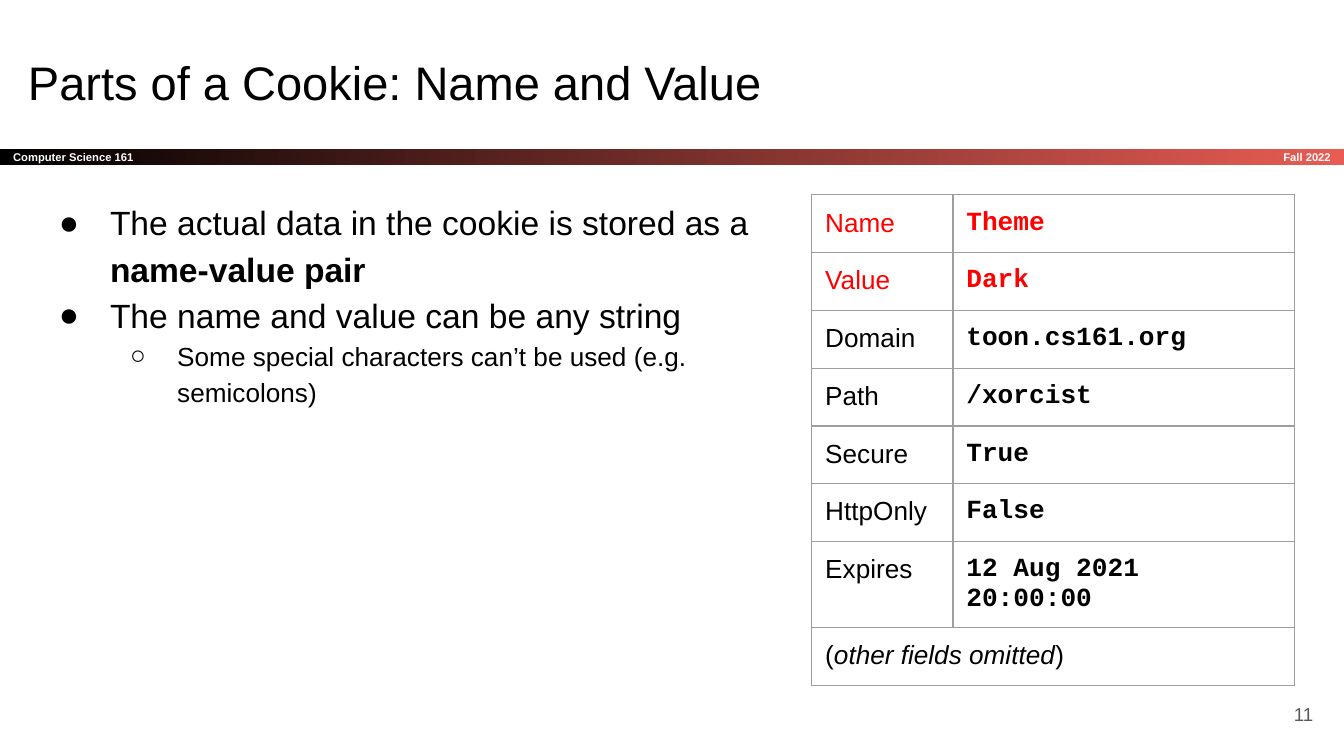
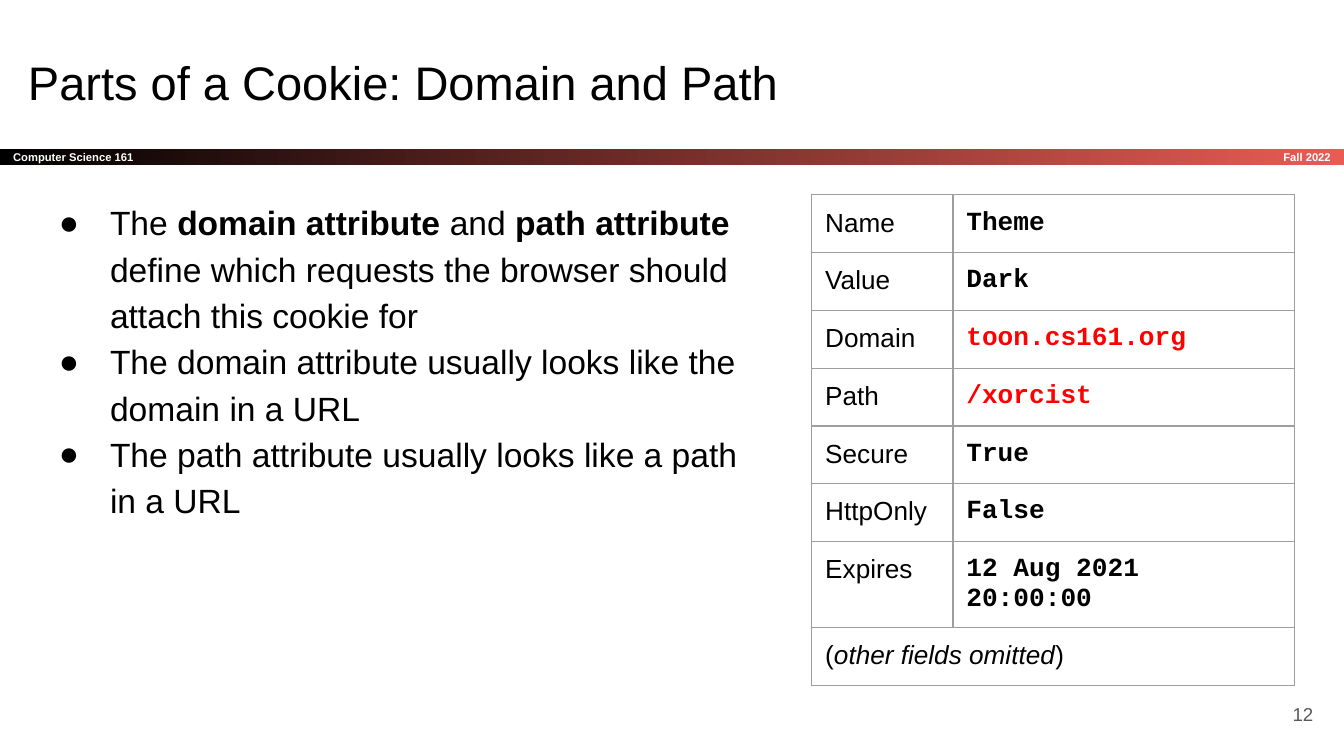
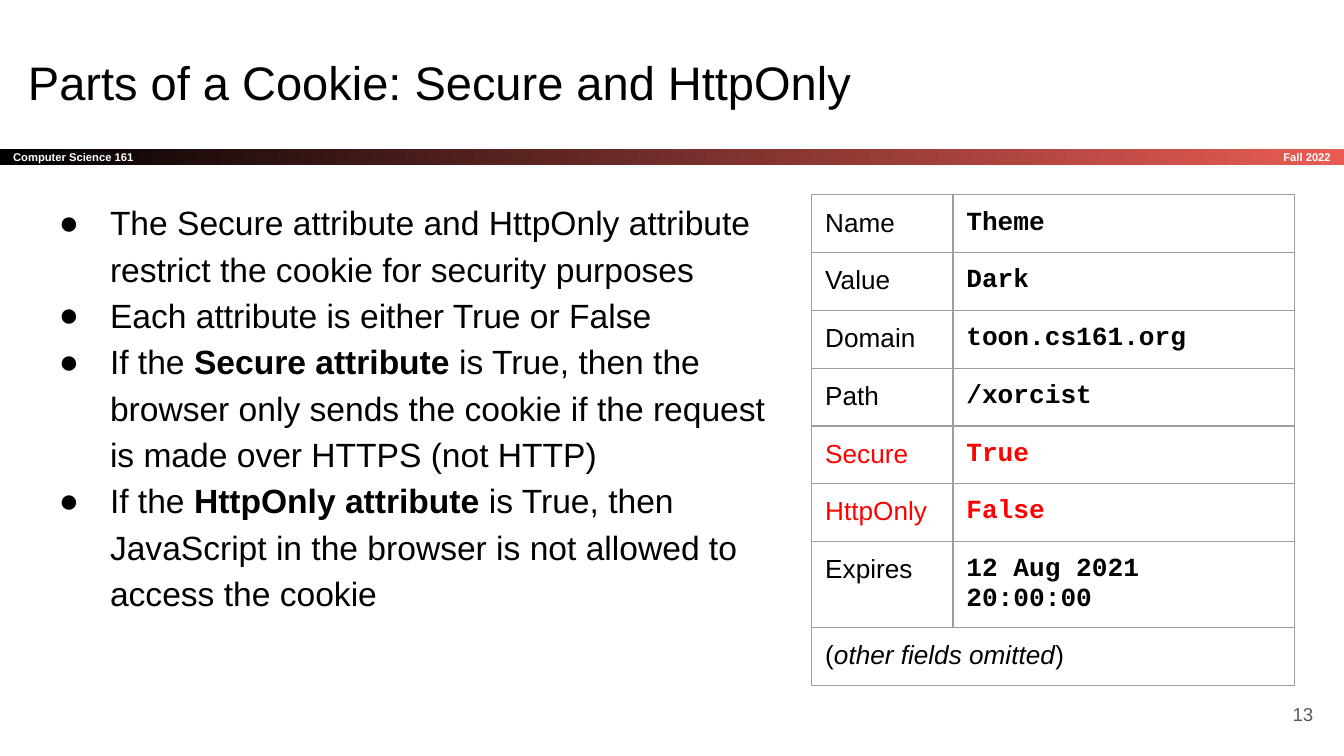
import dataclasses

import lxml.etree
import pptx
import pptx.dml.color
import pptx.enum.shapes
import pptx.enum.text
import pptx.oxml.ns
import pptx.util

ANCHOR = pptx.enum.text.MSO_ANCHOR
ALIGN = pptx.enum.text.PP_ALIGN


@dataclasses.dataclass(frozen=True)
class Theme:
    # Colours
    ink: str = "000000"
    paper: str = "FFFFFF"
    highlight: str = "FF0000"
    band_end: str = "E85C54"
    page_ink: str = "595959"
    rule: str = "9E9E9E"
    # Fonts and sizes in points
    sans: str = "Arial"
    mono: str = "Courier New"
    title_size: float = 25.2
    body_sizes: tuple = (18, 14)
    cell_size: float = 14
    page_size: float = 10
    band_size: float = 6
    rule_width: float = 0.75
    # Bullet sign, indent and hanging part (in grid cells) for each level
    bullets: tuple = (("●", 5, 3.8), ("○", 10, 3.5))
    line_spacing: float = 1.15
    inset: float = 1


def units(cells):
    """Length of a number of grid cells; the slide is 100 columns wide."""
    return pptx.util.Inches(cells / 10)


def rgb(colour):
    return pptx.dml.color.RGBColor.from_string(colour)


def add_xml(parent, tag, **attributes):
    return lxml.etree.SubElement(parent, pptx.oxml.ns.qn(tag), attributes)


class Deck:
    COLUMNS, ROWS = 100, 56.25
    BAND_TOP, BAND_HEIGHT = 11.1, 1.2

    def __init__(self, theme):
        self.theme = theme
        self.show = pptx.Presentation()
        self.show.slide_width = units(self.COLUMNS)
        self.show.slide_height = units(self.ROWS)
        self.slide = None

    def new_slide(self, title, page):
        self.slide = self.show.slides.add_slide(self.show.slide_layouts[6])
        self.slide.background.fill.solid()
        self.slide.background.fill.fore_color.rgb = rgb(self.theme.paper)
        self.band("Computer Science 161", "Fall 2022")
        self.line_of_text((1.1, 3, 93.2, 6.3), title, self.theme.title_size)
        self.line_of_text((92.7, 51, 6, 4.3), str(page), self.theme.page_size,
                          self.theme.page_ink, ALIGN.RIGHT, ANCHOR.MIDDLE)

    # Text
    def frame(self, holder, anchor=ANCHOR.TOP):
        text = holder.text_frame
        text.word_wrap = True
        text.auto_size = pptx.enum.text.MSO_AUTO_SIZE.NONE
        text.vertical_anchor = anchor
        text.margin_left = text.margin_right = units(self.theme.inset)
        text.margin_top = text.margin_bottom = units(self.theme.inset)
        return text

    def textbox(self, box, anchor=ANCHOR.TOP):
        return self.frame(self.slide.shapes.add_textbox(*map(units, box)), anchor)

    def add_runs(self, paragraph, text, size, colour=None, font=None, bold=False,
                 italic_marks=False):
        """Add runs; parts between ** marks turn bold, or italic if asked."""
        for index, part in enumerate(text.split("**")):
            if part:
                marked = index % 2 == 1
                run = paragraph.add_run()
                run.text = part
                run.font.size = pptx.util.Pt(size)
                run.font.name = font or self.theme.sans
                run.font.color.rgb = rgb(colour or self.theme.ink)
                run.font.bold = bold or (marked and not italic_marks)
                run.font.italic = marked and italic_marks

    def line_of_text(self, box, text, size, colour=None, align=ALIGN.LEFT,
                     anchor=ANCHOR.TOP, bold=False):
        paragraph = self.textbox(box, anchor).paragraphs[0]
        paragraph.alignment = align
        self.add_runs(paragraph, text, size, colour, bold=bold)

    # Gradient band with course and term
    def band(self, course, term):
        theme = self.theme
        strip = self.slide.shapes.add_shape(
            pptx.enum.shapes.MSO_SHAPE.RECTANGLE,
            *map(units, (0, self.BAND_TOP, self.COLUMNS, self.BAND_HEIGHT)))
        strip.shadow.inherit = False
        strip.line.fill.background()
        strip.fill.gradient()
        strip.fill.gradient_angle = 0
        for stop, colour, position in zip(strip.fill.gradient_stops,
                                          (theme.ink, theme.band_end), (0, 1)):
            stop.color.rgb = rgb(colour)
            stop.position = position
        paragraph = self.frame(strip, ANCHOR.MIDDLE).paragraphs[0]
        paragraph.alignment = ALIGN.LEFT
        self.add_runs(paragraph, course, theme.band_size, theme.paper, bold=True)
        self.line_of_text((83.4, self.BAND_TOP, 16.6, self.BAND_HEIGHT), term, theme.band_size,
                          theme.paper, ALIGN.RIGHT, ANCHOR.MIDDLE, bold=True)

    # Bulleted body: (level, text) pairs
    def bullet_list(self, points):
        body = self.textbox((2.2, 13.6, 56.2, 41.2))
        for index, (level, text) in enumerate(points):
            paragraph = body.add_paragraph() if index else body.paragraphs[0]
            sign, indent, hanging = self.theme.bullets[level]
            paragraph.level = level
            paragraph.line_spacing = self.theme.line_spacing
            properties = paragraph._p.get_or_add_pPr()
            properties.set("marL", str(units(indent)))
            properties.set("indent", str(-units(hanging)))
            add_xml(add_xml(properties, "a:buClr"), "a:srgbClr", val=self.theme.ink)
            add_xml(properties, "a:buFont", typeface=self.theme.sans)
            add_xml(properties, "a:buChar", char=sign)
            self.add_runs(paragraph, text, self.theme.body_sizes[level])

    # Cookie table
    def style_cell(self, cell):
        cell.margin_left = cell.margin_right = units(self.theme.inset)
        cell.margin_top = cell.margin_bottom = units(self.theme.inset)
        properties = cell._tc.get_or_add_tcPr()
        for edge in ("a:lnL", "a:lnR", "a:lnT", "a:lnB"):
            rule = add_xml(properties, edge, w=str(pptx.util.Pt(self.theme.rule_width)))
            add_xml(add_xml(rule, "a:solidFill"), "a:srgbClr", val=self.theme.rule)
        cell.fill.background()

    def cookie_table(self, fields, remark, highlighted):
        theme = self.theme
        widths = (10.5, 25.4)
        heights = [4.3] * (len(fields) - 1) + [4, 4.3]
        table = self.slide.shapes.add_table(
            len(heights), len(widths),
            *map(units, (60.4, 14.5, sum(widths), sum(heights)))).table
        table.first_row = table.horz_banding = False
        for column, width in zip(table.columns, widths):
            column.width = units(width)
        for row, height in zip(table.rows, heights):
            row.height = units(height)
            for cell in row.cells:
                self.style_cell(cell)
        for row, field in zip(table.rows, fields):
            for cell, text, font in zip(row.cells, field, (theme.sans, theme.mono)):
                colour = theme.highlight if text in highlighted else theme.ink
                self.add_runs(cell.text_frame.paragraphs[0], text, theme.cell_size, colour,
                              font, bold=font == theme.mono)
        last = len(fields)
        table.cell(last, 0).merge(table.cell(last, 1))
        self.add_runs(table.cell(last, 0).text_frame.paragraphs[0], remark, theme.cell_size,
                      italic_marks=True)


COOKIE = (
    ("Name", "Theme"),
    ("Value", "Dark"),
    ("Domain", "toon.cs161.org"),
    ("Path", "/xorcist"),
    ("Secure", "True"),
    ("HttpOnly", "False"),
    ("Expires", "12 Aug 2021 20:00:00"),
)
REMARK = "(**other fields omitted**)"
FIRST_PAGE = 11

# Title part, highlighted cells, bullet points
LESSONS = (
    ("Name and Value", {"Name", "Theme", "Value", "Dark"}, (
        (0, "The actual data in the cookie is stored as a **name-value pair**"),
        (0, "The name and value can be any string"),
        (1, "Some special characters can’t be used (e.g. semicolons)"),
    )),
    ("Domain and Path", {"toon.cs161.org", "/xorcist"}, (
        (0, "The **domain attribute** and **path attribute** define which requests "
            "the browser should attach this cookie for"),
        (0, "The domain attribute usually looks like the domain in a URL"),
        (0, "The path attribute usually looks like a path in a URL"),
    )),
    ("Secure and HttpOnly", {"Secure", "True", "HttpOnly", "False"}, (
        (0, "The Secure attribute and HttpOnly attribute restrict the cookie "
            "for security purposes"),
        (0, "Each attribute is either True or False"),
        (0, "If the **Secure attribute** is True, then the browser only sends the cookie "
            "if the request is made over HTTPS (not HTTP)"),
        (0, "If the **HttpOnly attribute** is True, then JavaScript in the browser "
            "is not allowed to access the cookie"),
    )),
)


def main():
    deck = Deck(Theme())
    for page, (topic, highlighted, points) in enumerate(LESSONS, FIRST_PAGE):
        deck.new_slide(f"Parts of a Cookie: {topic}", page)
        deck.bullet_list(points)
        deck.cookie_table(COOKIE, REMARK, highlighted)
    deck.show.save("out.pptx")


if __name__ == "__main__":
    main()
